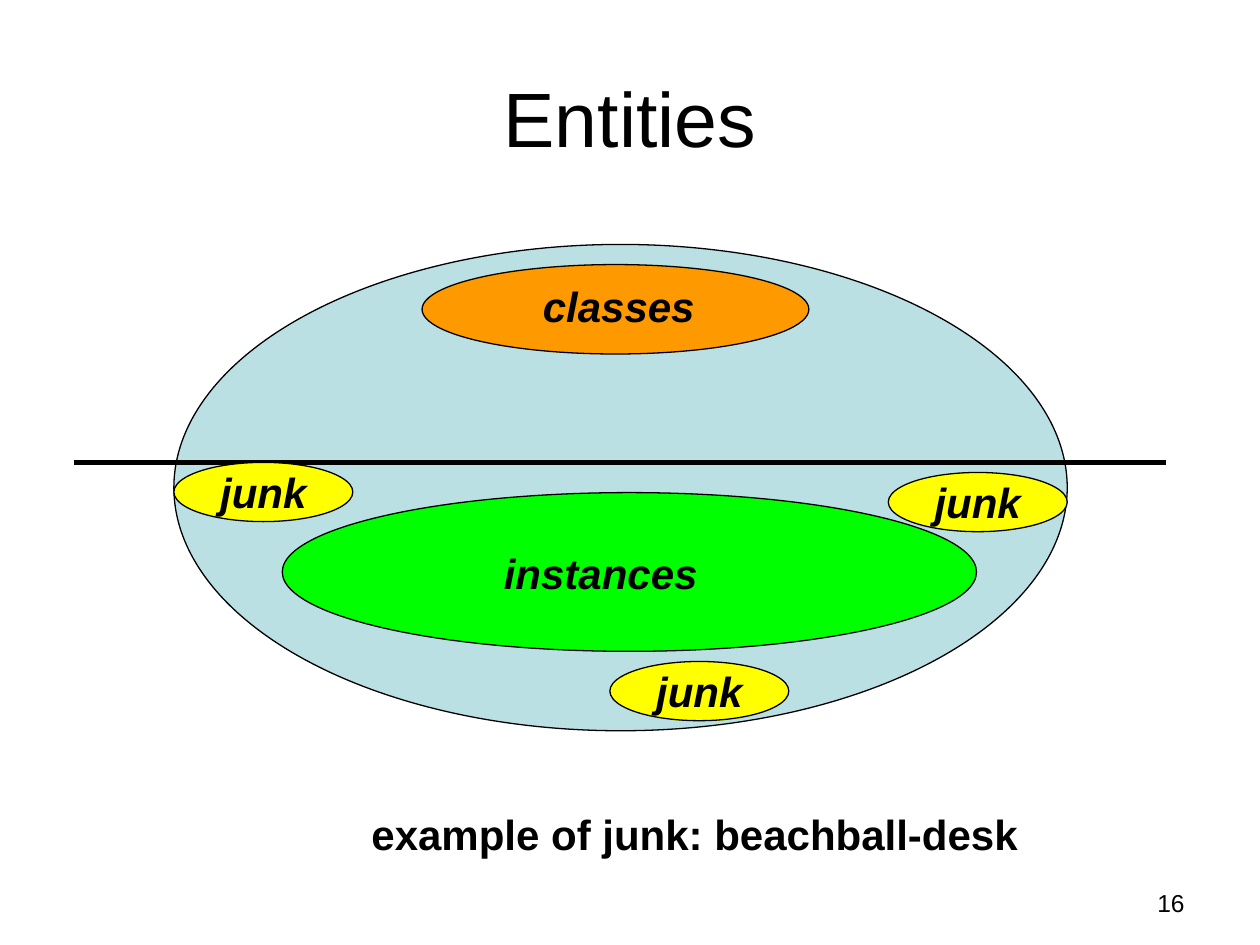
from pptx import Presentation
from pptx.dml.color import RGBColor
from pptx.enum.shapes import MSO_CONNECTOR, MSO_SHAPE
from pptx.enum.text import MSO_ANCHOR, PP_ALIGN
from pptx.util import Inches, Pt
from lxml import etree

COLORS = {
    "ink": "000000",
    "entities": "BBE0E3",
    "classes": "FF9900",
    "instances": "00FF00",
    "junk": "FFFF00",
}
LABEL = {"size": Pt(24), "bold": True, "italic": True}


def write(shape, text, font_format, align=PP_ALIGN.LEFT, anchor=MSO_ANCHOR.TOP, wrap=True):
    frame = shape.text_frame
    frame.word_wrap = wrap
    frame.vertical_anchor = anchor
    frame.text = text
    paragraph = frame.paragraphs[0]
    paragraph.alignment = align
    font = paragraph.runs[0].font
    for name, value in {"name": "Arial", **font_format}.items():
        setattr(font, name, value)
    font.color.rgb = RGBColor.from_string(COLORS["ink"])


def add_ellipse(kind, *box):
    ellipse = slide.shapes.add_shape(MSO_SHAPE.OVAL, *map(Inches, box))
    ellipse.shadow.inherit = False
    ellipse.fill.solid()
    ellipse.fill.fore_color.rgb = RGBColor.from_string(COLORS[kind])
    ellipse.line.color.rgb = RGBColor.from_string(COLORS["ink"])
    ellipse.line.width = Pt(0.75)
    return ellipse


prs = Presentation()
prs.slide_width, prs.slide_height = Inches(10), Inches(7.5)
slide = prs.slides.add_slide(prs.slide_layouts[5])

# Title
title = slide.shapes.title
title.left, title.top, title.width, title.height = map(Inches, (0.5, 0.3, 9, 1.25))
write(title, "Entities", {"size": Pt(44)}, PP_ALIGN.CENTER, MSO_ANCHOR.MIDDLE)

# All entities, split by a dividing line
add_ellipse("entities", 1.38, 1.94, 7.09, 3.86)
divider = slide.shapes.add_connector(
    MSO_CONNECTOR.STRAIGHT, Inches(9.25), Inches(3.67), Inches(0.59), Inches(3.67)
)
divider.line.color.rgb = RGBColor.from_string(COLORS["ink"])
divider.line.width = Pt(3.25)
etree.SubElement(
    divider._element.spPr, "{http://schemas.openxmlformats.org/drawingml/2006/main}effectLst"
)

# Classes above the line, instances below
for kind, region, label_box in (
    ("classes", (3.35, 2.1, 3.07, 0.71), (4.21, 2.18, 1.42, 0.5)),
    ("instances", (2.24, 3.91, 5.51, 1.26), (3.9, 4.3, 2.05, 0.5)),
):
    add_ellipse(kind, *region)
    write(slide.shapes.add_textbox(*map(Inches, label_box)), kind, LABEL)

# Junk regions
for left, top in ((7.05, 3.75), (1.38, 3.67), (4.84, 5.25)):
    junk = add_ellipse("junk", left, top, 1.42, 0.47)
    write(junk, "junk", LABEL, PP_ALIGN.CENTER, MSO_ANCHOR.MIDDLE, wrap=False)

# Example and page number
example = slide.shapes.add_textbox(Inches(2.85), Inches(6.37), Inches(5.33), Inches(0.5))
write(example, "example of junk: beachball-desk", {"size": Pt(24), "bold": True}, wrap=False)
page_number = slide.shapes.add_textbox(Inches(7.17), Inches(7), Inches(2.33), Inches(0.35))
write(page_number, "16", {"size": Pt(14)}, PP_ALIGN.RIGHT)

prs.save("out.pptx")
